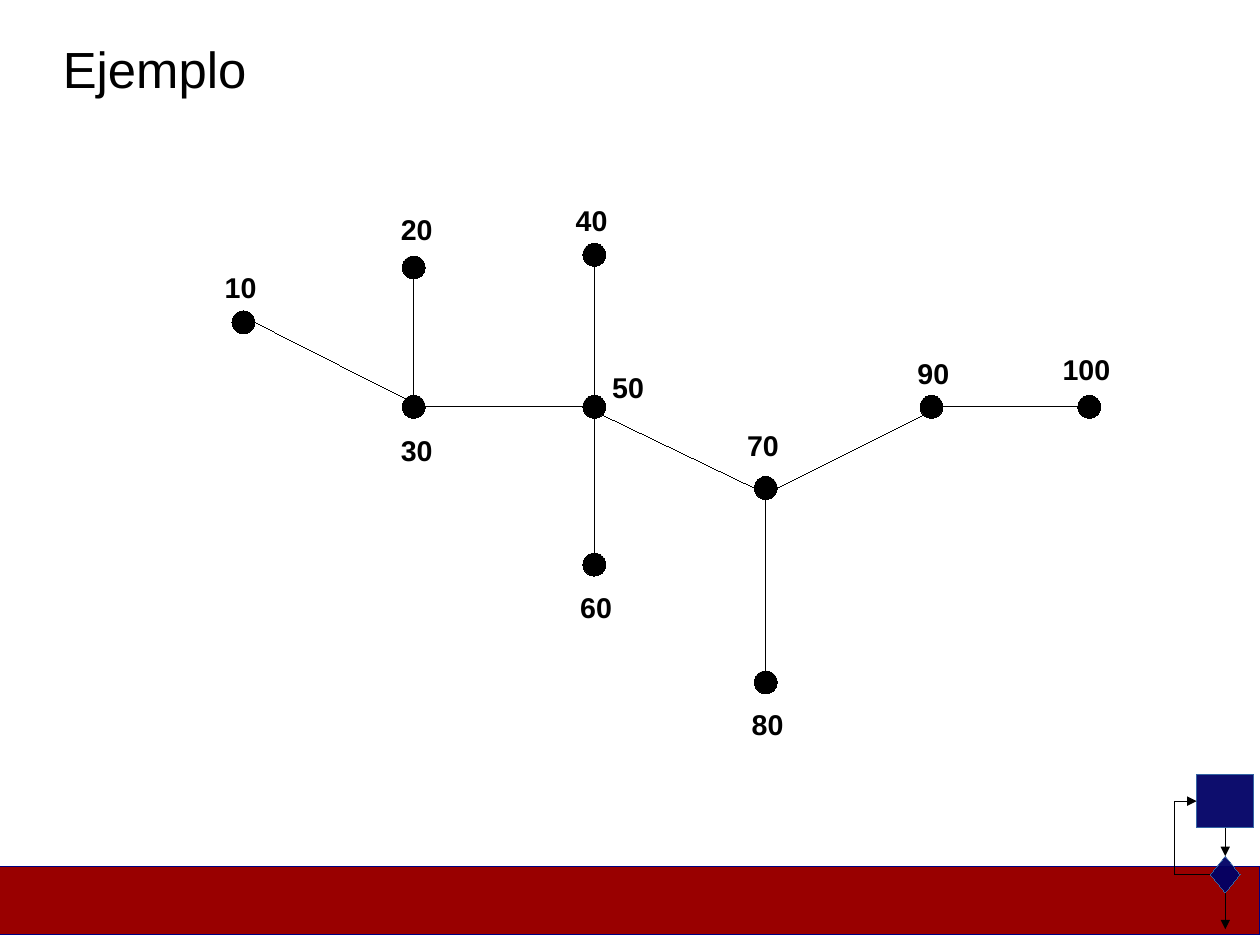
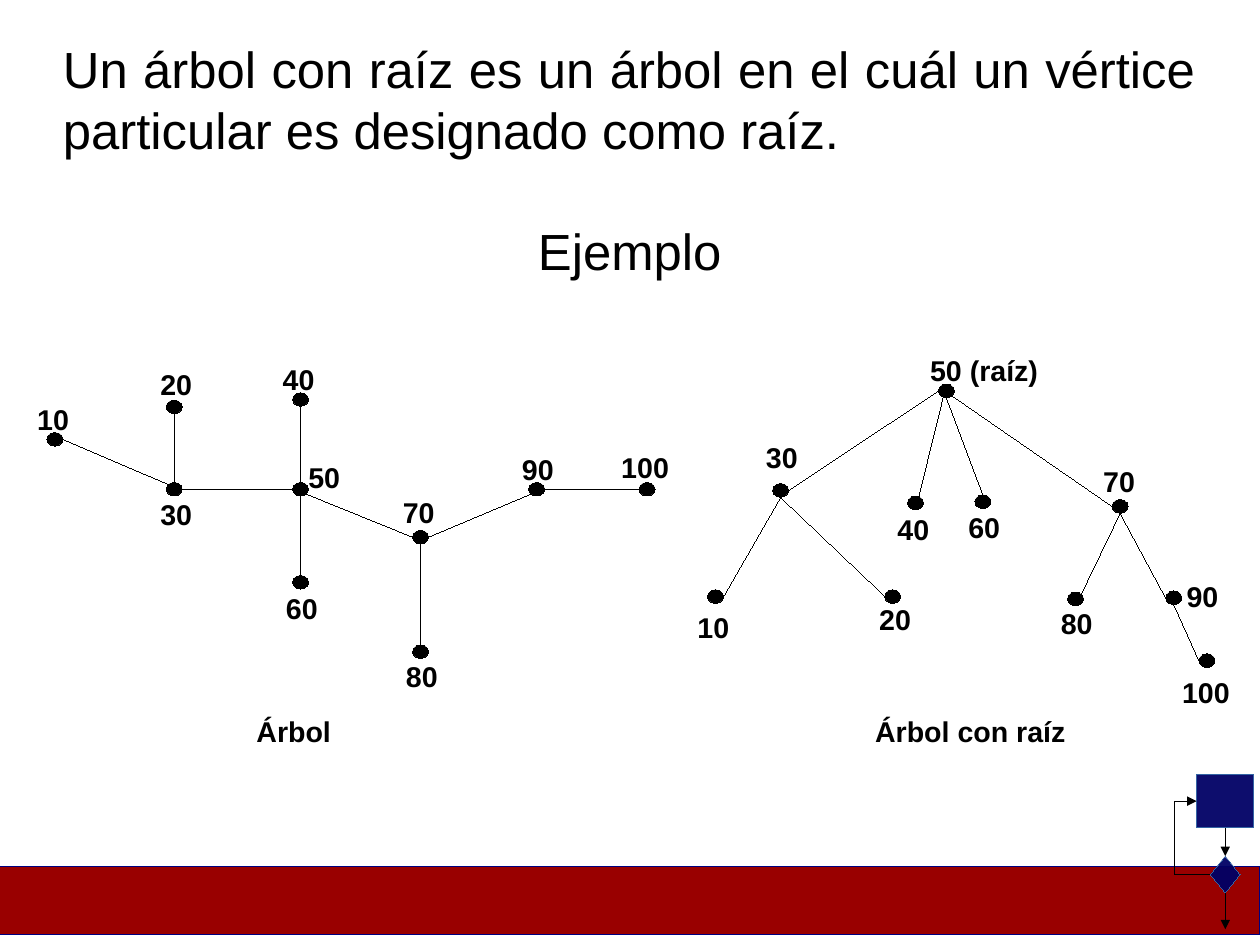
from lxml import etree
from pptx import Presentation
from pptx.dml.color import RGBColor
from pptx.enum.shapes import MSO_CONNECTOR as CXN, MSO_SHAPE as SHAPE
from pptx.enum.text import MSO_ANCHOR as ANCHOR, PP_ALIGN as ALIGN
from pptx.oxml.ns import qn
from pptx.util import Inches, Pt

COLORS = {"black": "000000", "band": "990000", "band_line": "000080",
          "flow": "000066", "flow_line": "3465A4"}
FONT = "Arial"
SLIDE_W, SLIDE_H = 28 / 2.54, 21 / 2.54
LABEL_H = 0.31

SITES = {"t": (0.5, 0), "b": (0.5, 1), "l": (0, 0.5), "r": (1, 0.5),
         "tl": (0.15, 0.15), "bl": (0.15, 0.85), "br": (0.85, 0.85)}

TREE = {
    "dot": (0.2, 0.2),
    "label": (0.31, 0.31),
    "nodes": {
        "10": ((2.03, 2.72), (1.95, 2.36)),
        "20": ((3.52, 2.24), (3.49, 1.85)),
        "30": ((3.52, 3.46), (3.49, 3.78)),
        "40": ((5.1, 2.13), (5.02, 1.77)),
        "50": ((5.1, 3.46), (5.34, 3.23)),
        "60": ((5.1, 4.84), (5.06, 5.16)),
        "70": ((6.6, 4.17), (6.52, 3.74)),
        "80": ((6.6, 5.87), (6.56, 6.18)),
        "90": ((8.05, 3.46), (8.01, 3.11)),
        "100": ((9.43, 3.46), (9.35, 3.07)),
    },
    "edges": [("10", "r", "30", "tl"), ("30", "t", "20", "b"),
              ("50", "b", "60", "t"), ("30", "r", "50", "l"),
              ("50", "t", "40", "b"), ("50", "br", "70", "l"),
              ("70", "b", "80", "t"), ("70", "r", "90", "bl"),
              ("90", "r", "100", "l")],
}

ROOTED_TREE = {
    "dot": (0.14, 0.12),
    "label": (0.22, 0.19),
    "nodes": {
        "10": ((6.19, 5.16), (6.13, 5.39)),
        "20": ((7.74, 5.16), (7.72, 5.32)),
        "30": ((6.76, 4.23), (6.73, 3.9)),
        "40": ((7.94, 4.34), (7.88, 4.53)),
        "50 (raíz)": ((8.21, 3.36), (8.5, 3.14)),
        "60": ((8.53, 4.33), (8.5, 4.52)),
        "70": ((9.73, 4.37), (9.68, 4.11)),
        "80": ((9.34, 5.18), (9.31, 5.36)),
        "90": ((10.2, 5.17), (10.41, 5.12)),
        "100": ((10.49, 5.72), (10.44, 5.96)),
    },
    "edges": [("10", "r", "30", "b"), ("30", "b", "20", "b"),
              ("50 (raíz)", "b", "60", "t"), ("30", "r", "50 (raíz)", "l"),
              ("50 (raíz)", "t", "40", "b"), ("50 (raíz)", "br", "70", "l"),
              ("70", "b", "80", "b"), ("70", "b", "90", "bl"),
              ("90", "b", "100", "l")],
}

SMALL_TREE_SCALE = (0.7, 0.59)
SMALL_TREE_OFFSET = (-1.01, 2.18)

SLIDES = [
    {"text": [("Ejemplo", ALIGN.JUSTIFY)],
     "trees": [(TREE, (1, 1), (0, 0))],
     "captions": []},
    {"text": [("Un árbol con raíz es un árbol en el cuál un vértice "
               "particular es designado como raíz.", ALIGN.JUSTIFY),
              ("Ejemplo", ALIGN.CENTER)],
     "trees": [(TREE, SMALL_TREE_SCALE, SMALL_TREE_OFFSET),
               (ROOTED_TREE, (1, 1), (0, 0))],
     "captions": [("Árbol", 2.57, 6.4), ("Árbol con raíz", 8.49, 6.4)]},
]


def rgb(name):
    return RGBColor.from_string(COLORS[name])


def set_hairline(line, color):
    line.color.rgb = rgb(color)
    ln = line._get_or_add_ln()
    ln.set("w", "0")
    return ln


def add_box(s, kind, x, y, w, h, fill, line, alpha=None):
    sp = s.shapes.add_shape(kind, Inches(x), Inches(y), Inches(w), Inches(h))
    sp.shadow.inherit = False
    sp.fill.solid()
    sp.fill.fore_color.rgb = rgb(fill)
    set_hairline(sp.line, line)
    if alpha:
        clr = sp.fill._xPr.find(qn("a:solidFill"))[0]
        etree.SubElement(clr, qn("a:alpha"), val=str(alpha * 1000))


def add_line(s, start, end, kind=CXN.STRAIGHT, arrow=False, adj=None):
    cx = s.shapes.add_connector(kind, *map(Inches, (*start, *end)))
    ln = set_hairline(cx.line, "black")
    if arrow:
        etree.SubElement(ln, qn("a:tailEnd"), type="triangle")
    sp_pr = cx._element.spPr
    etree.SubElement(sp_pr, qn("a:effectLst"))
    if adj:
        geom = sp_pr.find(qn("a:prstGeom"))
        guides = geom.find(qn("a:avLst"))
        if guides is None:
            guides = etree.SubElement(geom, qn("a:avLst"))
        etree.SubElement(guides, qn("a:gd"), name="adj1", fmla=f"val {adj}")


def style(p, size, align, bold=False):
    p.alignment = align
    for r in p.runs:
        r.font.name = FONT
        r.font.size = Pt(size)
        r.font.bold = bold
        r.font.color.rgb = rgb("black")


def add_text(s, x, y, w, h):
    tf = s.shapes.add_textbox(Inches(x), Inches(y), Inches(w), Inches(h)).text_frame
    tf.word_wrap = True
    tf.margin_left = tf.margin_right = tf.margin_top = tf.margin_bottom = 0
    return tf


def add_label(s, text, cx, cy):
    w = 0.14 * len(text) + 0.1
    tf = add_text(s, cx - w / 2, cy - LABEL_H / 2, w, LABEL_H)
    tf.vertical_anchor = ANCHOR.MIDDLE
    tf.text = text
    style(tf.paragraphs[0], 18, ALIGN.CENTER, True)


def add_body(s, paragraphs):
    tf = add_text(s, 0.55, 0.33, 9.92, 2.2)
    for i, (text, align) in enumerate(paragraphs):
        p = tf.add_paragraph() if i else tf.paragraphs[0]
        p.text = text
        p.line_spacing = Pt(38.4)
        if i:
            p.space_before = Pt(38)
        style(p, 32, align)


def add_tree(s, tree, scale, offset):
    def place(point):
        return [v * k + o for v, k, o in zip(point, scale, offset)]

    dot = [v * k for v, k in zip(tree["dot"], scale)]
    dots = {name: place(at) for name, (at, _) in tree["nodes"].items()}

    def site(name, side):
        return [v + d * f for v, d, f in zip(dots[name], dot, SITES[side])]

    for at in dots.values():
        add_box(s, SHAPE.OVAL, *at, *dot, "black", "black")
    for a, side_a, b, side_b in tree["edges"]:
        add_line(s, site(a, side_a), site(b, side_b))
    for name, (_, at) in tree["nodes"].items():
        add_label(s, name, *place([v + d / 2 for v, d in zip(at, tree["label"])]))


def add_footer(s):
    add_box(s, SHAPE.RECTANGLE, 0, 7.58, SLIDE_W, 0.6, "band", "band_line")
    add_box(s, SHAPE.FLOWCHART_DECISION, 10.59, 7.49, 0.26, 0.32, "flow", "flow_line", 95)
    add_box(s, SHAPE.FLOWCHART_PROCESS, 10.47, 6.78, 0.5, 0.46, "flow", "flow_line", 95)
    add_line(s, (10.72, 7.24), (10.72, 7.49), arrow=True)
    add_line(s, (10.59, 7.65), (10.47, 7.01), CXN.ELBOW, True, 263700)
    add_line(s, (10.72, 7.81), (10.72, 8.13), arrow=True)


def main():
    prs = Presentation()
    prs.slide_width, prs.slide_height = Inches(SLIDE_W), Inches(SLIDE_H)
    for content in SLIDES:
        s = prs.slides.add_slide(prs.slide_layouts[6])
        add_footer(s)
        add_body(s, content["text"])
        for tree, scale, offset in content["trees"]:
            add_tree(s, tree, scale, offset)
        for caption in content["captions"]:
            add_label(s, *caption)
    prs.save("out.pptx")


if __name__ == "__main__":
    main()
